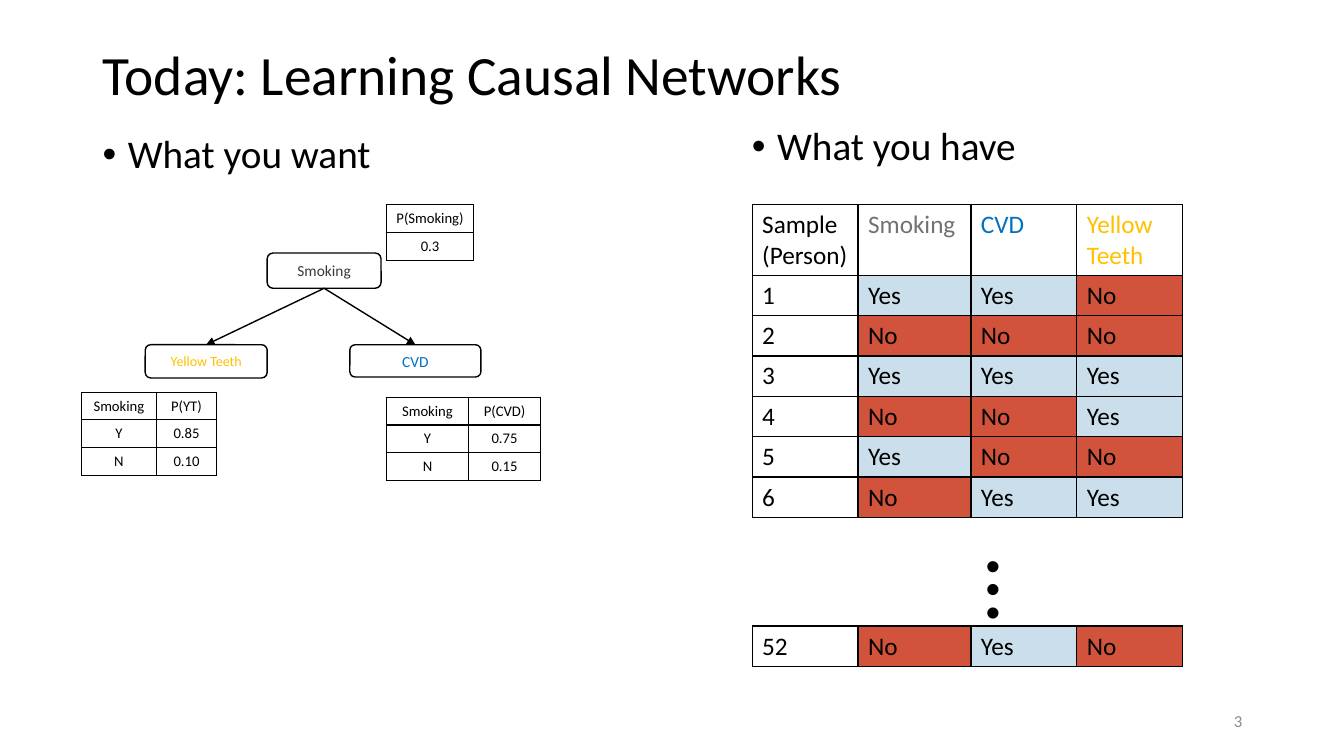
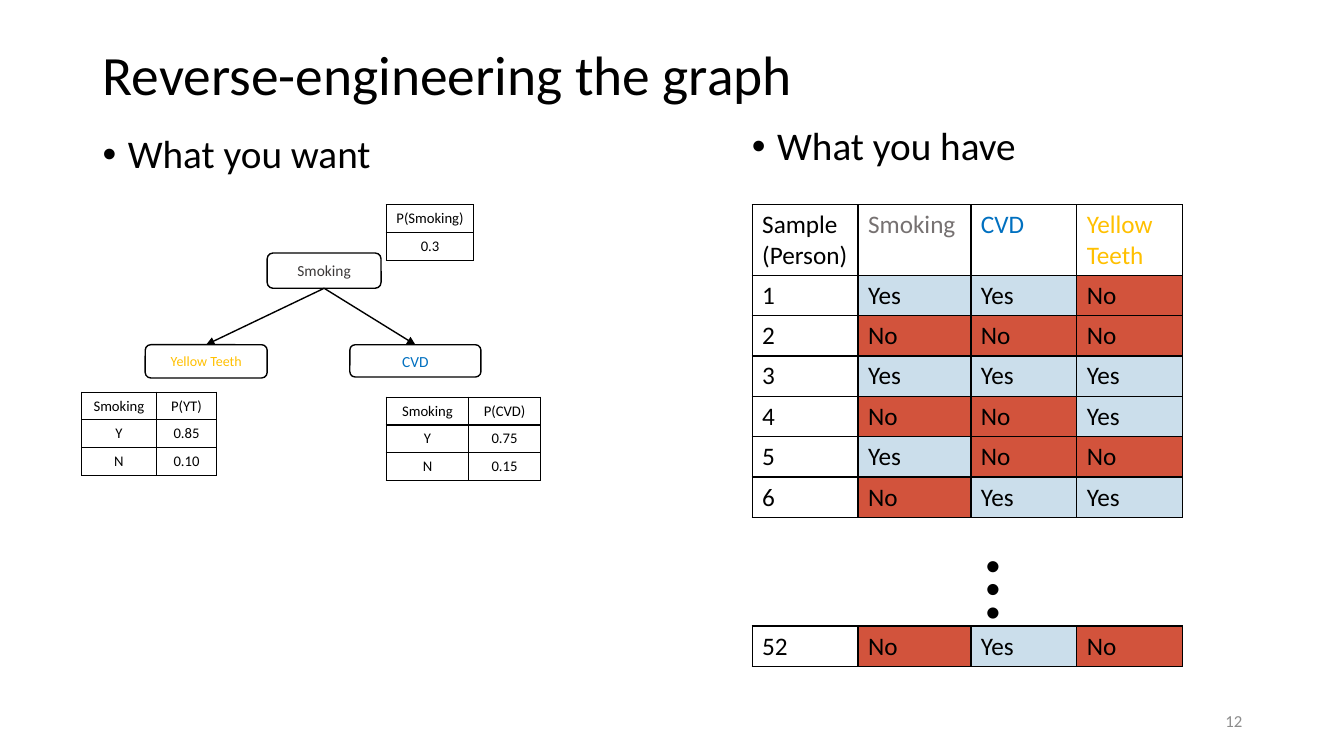
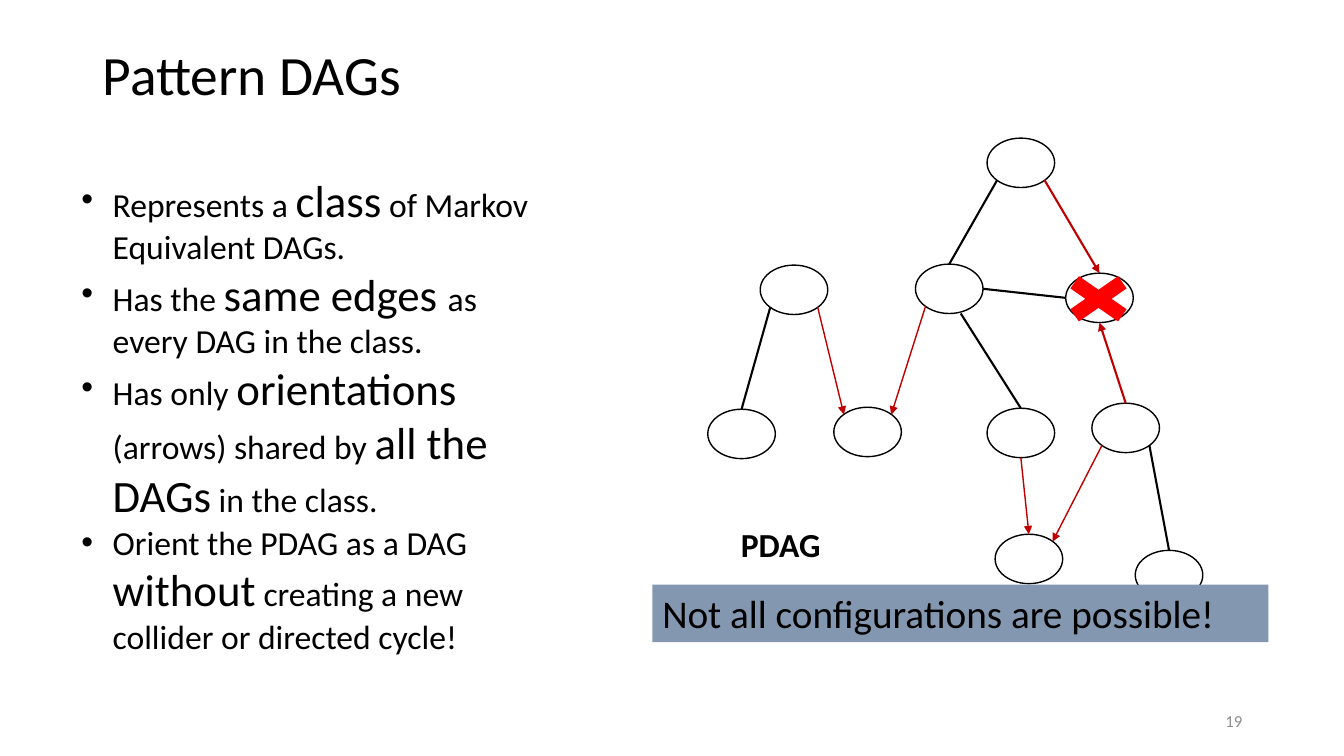
from dataclasses import dataclass

from lxml.etree import SubElement
from pptx import Presentation
from pptx.dml.color import RGBColor
from pptx.enum.shapes import MSO_CONNECTOR as Connector, MSO_SHAPE as Preset
from pptx.enum.text import MSO_ANCHOR as Anchor, PP_ALIGN as Align
from pptx.oxml.ns import qn
from pptx.util import Inches, Pt


@dataclass(frozen=True)
class Theme:
    font: str = "Calibri"
    bullet_font: str = "Arial"
    ink: str = "000000"
    paper: str = "FFFFFF"
    muted: str = "8C8C8C"
    smoking_head: str = "767171"
    smoking_node: str = "3B3838"
    cvd: str = "0070C0"
    teeth: str = "FFC000"
    yes: str = "CBDEEB"
    no: str = "D2533C"
    arrow: str = "C00000"
    cross: str = "FF0000"
    banner: str = "8497B0"
    title_size: float = 39.6
    heading_size: float = 28
    strong_size: float = 32
    body_size: float = 24
    table_size: float = 18
    node_size: float = 11
    small_node_size: float = 10
    odds_size: float = 10.5
    number_size: float = 12
    dots_size: float = 66
    thin: float = 1
    thick: float = 1.5


@dataclass(frozen=True)
class Box:
    left: float
    top: float
    width: float
    height: float

    def area(self, col, row, cols, rows):
        return Box(self.left + col, self.top + row, cols, rows)

    def emu(self):
        return [Inches(n) for n in (self.left, self.top, self.width, self.height)]


THEME = Theme()
PAGE = Box(0, 0, 13.33, 7.5)
ROW = 0.4
ODDS_ROW = 0.27
NODE = (0.67, 0.49)

TOP, LEFT, BOTTOM, RIGHT = (0.5, 0), (0, 0.5), (0.5, 1), (1, 0.5)
TOP_LEFT, TOP_RIGHT = (0.15, 0.15), (0.85, 0.15)
LOW_LEFT, LOW_RIGHT = (0.15, 0.85), (0.85, 0.85)

SAMPLES = [
    ("1", "Yes", "Yes", "No"),
    ("2", "No", "No", "No"),
    ("3", "Yes", "Yes", "Yes"),
    ("4", "No", "No", "Yes"),
    ("5", "Yes", "No", "No"),
    ("6", "No", "Yes", "Yes"),
]
SAMPLE_HEAD = ("Sample (Person)", "Smoking", "CVD", "Yellow Teeth")
LAST_SAMPLE = ("52", "No", "Yes", "No")
ANSWER_FILL = {"Yes": THEME.yes, "No": THEME.no}
HEAD_INK = {
    "Smoking": THEME.smoking_head,
    "CVD": THEME.cvd,
    "Yellow Teeth": THEME.teeth,
}

PDAG_NODES = {
    "root": (2.79, 0.07),
    "parent": (0.54, 1.33),
    "hub": (2.08, 1.32),
    "sink": (3.57, 1.41),
    "leaf": (0.02, 2.76),
    "collider": (1.27, 2.74),
    "middle": (2.79, 2.75),
    "right": (3.83, 2.7),
    "low collider": (2.87, 4),
    "low leaf": (4.26, 4.16),
}
LINK = (THEME.ink, THEME.thick, False)
ARROW = (THEME.arrow, THEME.thin, True)
CLASH = (THEME.arrow, THEME.thick, True)
PDAG_EDGES = [
    ("root", LOW_LEFT, "hub", TOP, LINK),
    ("hub", RIGHT, "sink", LEFT, LINK),
    ("hub", (0.67, 1), "middle", TOP, LINK),
    ("parent", LOW_LEFT, "leaf", TOP, LINK),
    ("right", LOW_RIGHT, "low leaf", TOP, LINK),
    ("parent", LOW_RIGHT, "collider", TOP_LEFT, ARROW),
    ("hub", LOW_LEFT, "collider", TOP_RIGHT, ARROW),
    ("middle", BOTTOM, "low collider", TOP, ARROW),
    ("right", LOW_LEFT, "low collider", TOP_RIGHT, ARROW),
    ("root", LOW_RIGHT, "sink", TOP, CLASH),
    ("right", TOP, "sink", BOTTOM, CLASH),
]
PATTERN_POINTS = [
    [("Represents a ", False), ("class", True), (" of Markov Equivalent DAGs.", False)],
    [("Has the ", False), ("same edges ", True), ("as every DAG in the class.", False)],
    [("Has only ", False), ("orientations ", True), ("(arrows) shared by ", False),
     ("all the DAGs", True), (" in the class.", False)],
    [("Orient the PDAG as a DAG ", False), ("without", True),
     (" creating a new collider or directed cycle!", False)],
]


def rgb(color):
    return RGBColor.from_string(color)


def add_run(paragraph, words, size, color=THEME.ink, bold=False):
    run = paragraph.add_run()
    run.text = words
    run.font.name = THEME.font
    run.font.size = Pt(size)
    run.font.bold = bold
    run.font.color.rgb = rgb(color)


def add_bullet(paragraph, indent):
    props = paragraph._p.get_or_add_pPr()
    props.set("marL", str(Inches(indent)))
    props.set("indent", str(-Inches(indent)))
    SubElement(props, qn("a:buFont")).set("typeface", THEME.bullet_font)
    SubElement(props, qn("a:buChar")).set("char", "•")


def add_frame(slide, box, anchor=Anchor.TOP):
    frame = slide.shapes.add_textbox(*box.emu()).text_frame
    frame.word_wrap = True
    frame.vertical_anchor = anchor
    return frame


def add_label(slide, box, words, size, color=THEME.ink, bold=False,
              align=Align.LEFT, anchor=Anchor.TOP):
    frame = add_frame(slide, box, anchor)
    line = frame.paragraphs[0]
    line.alignment = align
    add_run(line, words, size, color, bold)
    return frame


def add_preset(slide, preset, box, fill, outline=None):
    shape = slide.shapes.add_shape(preset, *box.emu())
    shape.shadow.inherit = False
    shape.fill.solid()
    shape.fill.fore_color.rgb = rgb(fill)
    if outline:
        shape.line.color.rgb = rgb(outline)
        shape.line.width = Pt(THEME.thin)
    else:
        shape.line.fill.background()
    return shape


def add_edge(slide, start, end, color, width, headed):
    edge = slide.shapes.add_connector(Connector.STRAIGHT, *start, *end)
    edge.line.color.rgb = rgb(color)
    edge.line.width = Pt(width)
    props = edge._element.spPr
    if headed:
        SubElement(props.get_or_add_ln(), qn("a:tailEnd")).set("type", "triangle")
    SubElement(props, qn("a:effectLst"))
    return edge


def site(shape, share):
    across, down = share
    return (shape.left + int(shape.width * across), shape.top + int(shape.height * down))


def add_borders(cell):
    props = cell._tc.get_or_add_tcPr()
    for place, side in enumerate(("lnL", "lnR", "lnT", "lnB")):
        border = props.makeelement(qn(f"a:{side}"), {"w": str(Pt(THEME.thin))})
        fill = SubElement(border, qn("a:solidFill"))
        SubElement(fill, qn("a:srgbClr")).set("val", THEME.ink)
        props.insert(place, border)


def add_grid(slide, box, cols, heights, rows, size, align=Align.LEFT, margin=0.1):
    table = slide.shapes.add_table(len(rows), len(cols), *box.emu()).table
    table.first_row = table.horz_banding = False
    for column, width in zip(table.columns, cols):
        column.width = Inches(width)
    for row, height, entries in zip(table.rows, heights, rows):
        row.height = Inches(height)
        for cell, words in zip(row.cells, entries):
            cell.margin_left = cell.margin_right = Inches(margin)
            cell.fill.solid()
            cell.fill.fore_color.rgb = rgb(ANSWER_FILL.get(words, THEME.paper))
            add_borders(cell)
            line = cell.text_frame.paragraphs[0]
            line.alignment = align
            ink = HEAD_INK.get(words, THEME.ink) if size == THEME.table_size else THEME.ink
            add_run(line, words, size, ink)


def add_odds(slide, box, cols, rows):
    add_grid(slide, box.area(0, 0, sum(cols), ODDS_ROW * len(rows)), cols,
             [ODDS_ROW] * len(rows), rows, THEME.odds_size, Align.CENTER, 0.05)


def add_heading(slide, box, words):
    line = add_frame(slide, box).paragraphs[0]
    line.line_spacing = 0.9
    line.space_before = Pt(10)
    add_bullet(line, 0.25)
    add_run(line, words, THEME.heading_size)


def start_slide(deck, title, number):
    slide = deck.slides.add_slide(deck.slide_layouts[6])
    heading = add_label(slide, PAGE.area(0.92, 0.4, 11.5, 0.73), title,
                        THEME.title_size, anchor=Anchor.MIDDLE)
    heading.paragraphs[0].line_spacing = 0.9
    add_label(slide, PAGE.area(9.42, 6.95, 3, 0.4), number, THEME.number_size,
              THEME.muted, align=Align.RIGHT, anchor=Anchor.MIDDLE)
    return slide


def add_node(slide, box, words, size, color):
    node = add_preset(slide, Preset.ROUNDED_RECTANGLE, box, THEME.paper, THEME.ink)
    frame = node.text_frame
    frame.margin_left = frame.margin_right = Inches(0.04)
    frame.vertical_anchor = Anchor.MIDDLE
    line = frame.paragraphs[0]
    line.alignment = Align.CENTER
    add_run(line, words, size, color)
    return node


def causal_network(slide, box):
    add_heading(slide, box.area(0.12, 0, 5.5, 0.7), "What you want")
    smoking = add_node(slide, box.area(1.85, 1.22, 1.13, 0.35), "Smoking",
                       THEME.node_size, THEME.smoking_node)
    teeth = add_node(slide, box.area(0.64, 2.13, 1.21, 0.33), "Yellow Teeth",
                     THEME.small_node_size, THEME.teeth)
    cvd = add_node(slide, box.area(2.67, 2.13, 1.3, 0.32), "CVD",
                   THEME.node_size, THEME.cvd)
    for effect in (teeth, cvd):
        edge = add_edge(slide, site(smoking, BOTTOM), site(effect, TOP),
                        THEME.ink, THEME.thin, True)
        edge.begin_connect(smoking, 2)
        edge.end_connect(effect, 0)
    add_odds(slide, box.area(3.03, 0.74, 0, 0), [0.87], [("P(Smoking)",), ("0.3",)])
    add_odds(slide, box.area(0.01, 2.6, 0, 0), [0.74, 0.6],
             [("Smoking", "P(YT)"), ("Y", "0.85"), ("N", "0.10")])
    add_odds(slide, box.area(3.03, 2.65, 0, 0), [0.82, 0.71],
             [("Smoking", "P(CVD)"), ("Y", "0.75"), ("N", "0.15")])


def sample_data(slide, box):
    cols = [1.05, 1.12, 1.05, 1.05]
    add_heading(slide, box.area(0, 0, 5.67, 0.9), "What you have")
    add_grid(slide, box.area(0.1, 0.82, sum(cols), 3.1), cols,
             [0.7] + [ROW] * len(SAMPLES), [SAMPLE_HEAD] + SAMPLES, THEME.table_size)
    add_grid(slide, box.area(0.1, 5, sum(cols), ROW), cols, [ROW],
             [LAST_SAMPLE], THEME.table_size)
    dots = add_label(slide, box.area(2.1, 4.23, 1.31, 0.71), "…", THEME.dots_size)
    dots._txBody.bodyPr.set("vert", "vert")


def learning_slide(deck, title, number):
    slide = start_slide(deck, title, number)
    causal_network(slide, PAGE.area(0.8, 1.29, 5.7, 5.46))
    sample_data(slide, PAGE.area(7.36, 1.21, 5.67, 5.5))


def pattern_points(slide, box):
    frame = add_frame(slide, box)
    for place, point in enumerate(PATTERN_POINTS):
        line = frame.add_paragraph() if place else frame.paragraphs[0]
        add_bullet(line, 0.31)
        for words, strong in point:
            add_run(line, words, THEME.strong_size if strong else THEME.body_size)


def pdag(slide, box):
    nodes = {
        name: add_preset(slide, Preset.OVAL, box.area(*place, *NODE), THEME.paper, THEME.ink)
        for name, place in PDAG_NODES.items()
    }
    for source, leave, target, arrive, look in PDAG_EDGES:
        edge = add_edge(slide, site(nodes[source], leave), site(nodes[target], arrive), *look)
        if leave == TOP:
            edge.begin_connect(nodes[source], 0)
        if arrive == TOP:
            edge.end_connect(nodes[target], 0)
    add_label(slide, box.area(0.25, 3.85, 2.04, 0.5), "PDAG", THEME.body_size, bold=True)
    add_preset(slide, Preset.MATH_MULTIPLY, box.area(3.44, 1.35, 0.91, 0.63), THEME.cross)


def warning_banner(slide, box):
    banner = add_preset(slide, Preset.RECTANGLE, box, THEME.banner)
    banner.text_frame.word_wrap = True
    banner.text_frame.vertical_anchor = Anchor.TOP
    line = banner.text_frame.paragraphs[0]
    line.alignment = Align.LEFT
    add_run(line, "Not all configurations are possible!", THEME.heading_size)


def pattern_slide(deck, title, number):
    slide = start_slide(deck, title, number)
    pattern_points(slide, PAGE.area(0.71, 1.66, 4.87, 4.95))
    pdag(slide, PAGE.area(7, 1.3, 5, 4.7))
    warning_banner(slide, PAGE.area(6.47, 5.8, 6.11, 0.57))


def main():
    deck = Presentation()
    deck.slide_width = Inches(PAGE.width)
    deck.slide_height = Inches(PAGE.height)
    learning_slide(deck, "Today: Learning Causal Networks", "3")
    learning_slide(deck, "Reverse-engineering the graph", "12")
    pattern_slide(deck, "Pattern DAGs", "19")
    deck.save("out.pptx")


if __name__ == "__main__":
    main()
